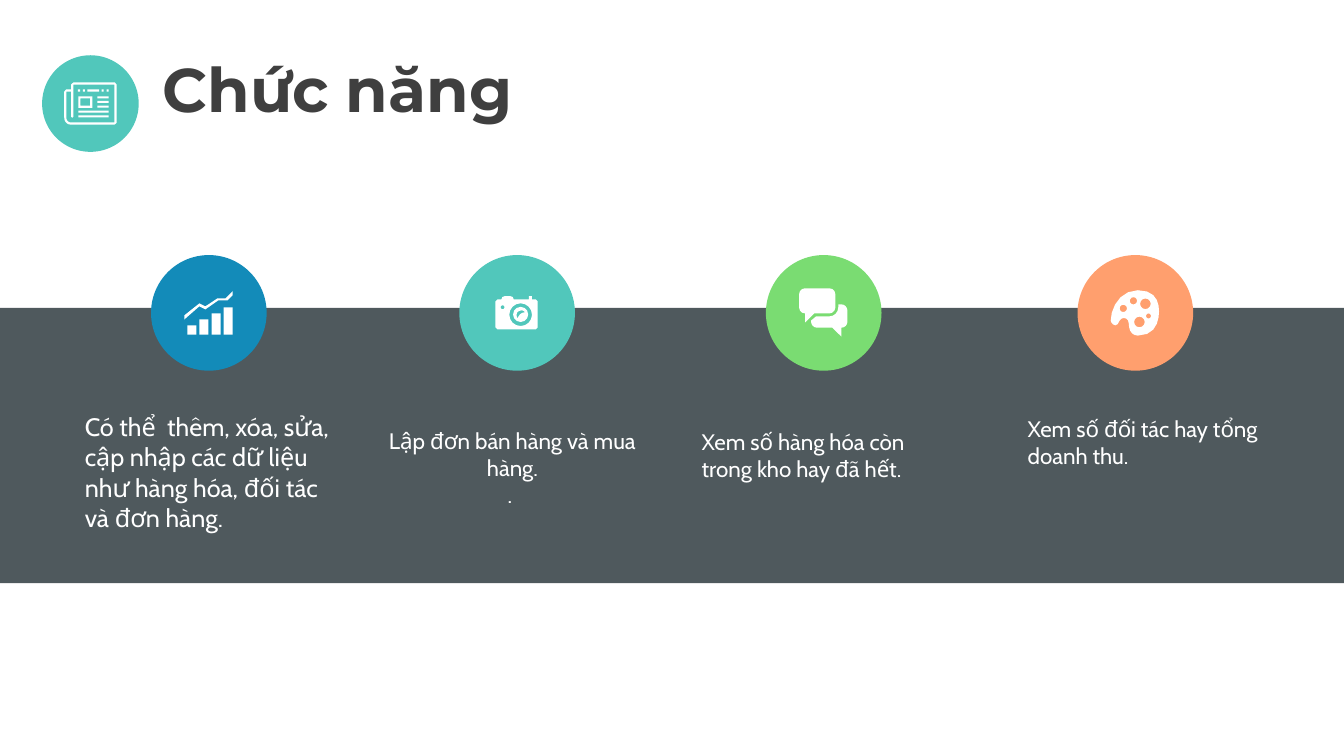
from functools import partial
from math import cos, pi, sin

from lxml.etree import SubElement
from pptx import Presentation
from pptx.dml.color import RGBColor
from pptx.enum.shapes import MSO_SHAPE as Kind
from pptx.enum.text import MSO_ANCHOR as Anchor, PP_ALIGN as Align
from pptx.oxml.ns import qn
from pptx.util import Pt

WHITE = "FFFFFF"
TEAL = "51C7BB"


def color(code):
    return RGBColor.from_string(code)


def paint(shape, fill):
    shape.shadow.inherit = False
    shape.fill.solid()
    shape.fill.fore_color.rgb = color(fill)
    shape.line.fill.background()
    return shape


def block(shapes, mid, kind, fill, x, y, w, h):
    """Preset shape, placed relative to the point mid."""
    return paint(shapes.add_shape(
        kind, Pt(mid[0] + x), Pt(mid[1] + y), Pt(w), Pt(h)), fill)


def outline(shapes, mid, *loops):
    """One white shape; loops inside others are openings."""
    paths = [[(Pt(mid[0] + x), Pt(mid[1] + y)) for x, y in loop] for loop in loops]
    pen = shapes.build_freeform(*paths[0][0], scale=1.0)
    for i, path in enumerate(paths):
        if i:
            pen.move_to(*path[0])
        pen.add_line_segments(path[1:], close=True)
    paint(pen.convert_to_shape(), WHITE)


# Loops of points
def bezier(a, *parts, steps=5):
    dots = [a]
    for b, c, d in parts:
        a = dots[-1]
        for i in range(1, steps + 1):
            t = i / steps
            s = 1 - t
            dots.append(tuple(
                s**3 * p + 3 * s * s * t * q + 3 * s * t * t * r + t**3 * u
                for p, q, r, u in zip(a, b, c, d)))
    return dots


def ring(x, y, size, count=12):
    turns = [2 * pi * i / count for i in range(count)]
    return [(x + size / 2 * cos(t), y + size / 2 * sin(t)) for t in turns]


def box(x, y, w, h, r=0.0, steps=3):
    if not r:
        return [(x, y), (x + w, y), (x + w, y + h), (x, y + h)]
    hubs = ((x + w - r, y + h - r), (x + r, y + h - r), (x + r, y + r), (x + w - r, y + r))
    return [(a + r * cos(t), b + r * sin(t))
            for k, (a, b) in enumerate(hubs)
            for t in (pi / 2 * (k + i / steps) for i in range(steps + 1))]


# Icons, drawn around the middle of their discs
def news(shapes, mid):
    page = [(-12.2, -15.1), (17.4, -15.1), (18.7, -13.7), (18.7, 13.7), (17.2, 15.1),
            *bezier((-13.7, 15.1), ((-16.6, 15.1), (-18.7, 13), (-18.7, 10.1))),
            (-18.7, -8.6), (-17.3, -10.1), (-13.7, -10.1), (-13.7, -13.7)]
    inner = [(-17.2, -8.6), (-13.7, -8.6), (-13.7, 9.5), (-12.9, 10.1), (-12.2, 9.5),
             (-12.2, -13.6), (17.2, -13.6), (17.2, 13.5),
             *bezier((-13.7, 13.5), ((-15.8, 13.5), (-17.2, 12), (-17.2, 10.1)))]
    bars = [(5, y, 8) for y in (-5.2, -2, 1.4)] + [(-8.6, y, 21.6) for y in (5, 8.4)]
    bars += [(-2.2, -10.1, 8.4)] + [(x, -10.1, 1.5) for x in (-8.9, -5.4, 8, 11.6)]
    outline(shapes, mid, page, inner, box(-8.6, -5.2, 10, 8.2),
            box(-7.1, -3.7, 7, 5.2), *(box(x, y, w, 1.5) for x, y, w in bars))


def growth(shapes, mid):
    for i in range(4):
        high = 6.5 + 4.32 * i
        block(shapes, mid, Kind.RECTANGLE, WHITE, -15.4 + 8.64 * i, 15.5 - high, 6.5, high)
    outline(shapes, mid, [
        (11.9, -10.4), (6.1, -10.4), (-2.5, -4.7), (-6.8, -6.8),
        (-17.6, 1.8), (-17.6, 4.7), (-6.8, -4.7), (-2.5, -2.5),
        (6.8, -9), (13.3, -9), (16.9, -12.6), (16.9, -15.5)])


def camera(shapes, mid):
    glint = bezier((0.4, 4), ((-1.2, 1.8), (-0.6, -1.8), (3.2, -1.8)),
                   ((4, -1.8), (5.4, -1.2), (5.4, -0.4)),
                   ((3, -0.4), (0.8, 1.8), (0.4, 4)))
    outline(shapes, mid, ring(2.5, 1.1, 10.8), glint)
    case = [(-15.5, -8.2), (-14, -9.7), (-11.2, -9.7), (-10.6, -11.3), (-9, -11.9),
            (-4.7, -11.9), (-3.1, -11.3), (-2.5, -9.7), (8.3, -9.7), (8.3, -11.9),
            (10.5, -11.9), (10.5, -9.7), (13.2, -9.7), (14.7, -8.2), (14.7, 10.3),
            (13.2, 11.8), (-14, 11.8), (-15.5, 10.3)]
    outline(shapes, mid, case, ring(2.5, 1.3, 16.2, 16), ring(-10.4, -4, 2.9, 8))


def chat(shapes, mid):
    curve = partial(bezier, steps=4)
    outline(shapes, mid, [
        (10.4, -6.1), *curve((12.6, -6.1), ((15, -6.1), (16.9, -4), (16.9, -1.8))),
        *curve((16.9, 6.5), ((16.9, 8.7), (15, 10.6), (12.6, 10.6))),
        (12.6, 16.9), (6.1, 10.6),
        *curve((-4.7, 10.6), ((-7, 10.6), (-9, 8.7), (-9, 6.5))),
        (-9, 5.4), (-5.4, 2.5),
        *curve((4, 2.5), ((7.6, 2.5), (10.4, -0.4), (10.4, -4)))])
    outline(shapes, mid, box(-17.6, -17.6, 25.9, 18, 4.3),
            [(-13.3, 0.4), (-13.3, 6.8), (-6.8, 0.4)])


def palette(shapes, mid):
    board = bezier((1.8, -16.2),
                   ((-11.2, -16.2), (-17.6, -3.2), (-17.6, 5.4)),
                   ((-17.6, 7.6), (-13.3, 11.9), (-11.2, 5.4)),
                   ((-9.7, 2.5), (-4.7, 3.2), (-4.7, 7.6)),
                   ((-4.7, 12.6), (-2.5, 16.2), (1.8, 16.2)),
                   ((14.8, 16.2), (16.9, 5.4), (16.9, -1.1)),
                   ((16.9, -7.6), (14.8, -16.2), (1.8, -16.2)))
    wells = ((-8.6, -3.2, 5.2), (-1.4, -8.6, 5.2), (2.9, 6.5, 7.6),
             (9.4, 2.2, 3.6), (7.2, -6.5, 7.6))
    outline(shapes, mid, board, *(ring(*well) for well in wells))


def badge(slide, mid, size, fill, icon):
    block(slide.shapes, mid, Kind.OVAL, fill, -size / 2, -size / 2, size, size)
    solo = icon in (news, palette)
    icon(slide.shapes if solo else slide.shapes.add_group_shape().shapes, mid)


def style(para, name, size, fill):
    para.font.name = name
    para.font.size = Pt(size)
    para.font.color.rgb = color(fill)


def note(slide, x, y, high, size, lines, align, gap):
    frame = slide.shapes.add_textbox(Pt(x), Pt(y), Pt(191.5), Pt(high)).text_frame
    frame.word_wrap = True
    frame.text = "\n".join(lines)
    for para in frame.paragraphs:
        para.alignment = align
        para.space_before = para.space_after = Pt(gap)
        style(para, "Cabin", size, WHITE)


def head(slide, text):
    title = slide.shapes.title
    title.left, title.top, title.width, title.height = map(Pt, (108.8, 28.8, 792, 74.2))
    frame = title.text_frame
    frame.text = text
    frame.vertical_anchor = Anchor.MIDDLE
    para = frame.paragraphs[0]
    para.alignment = Align.LEFT
    para.line_spacing = 0.9
    para.space_before = Pt(6)
    para.font.bold = True
    style(para, "Montserrat", 44, "3F3F3F")


def main():
    deck = Presentation()
    deck.slide_width, deck.slide_height = Pt(960), Pt(540)
    slide = deck.slides.add_slide(deck.slide_layouts[5])

    # Translucent band
    band = block(slide.shapes, (0, 0), Kind.RECTANGLE, "313C41", 0, 220, 960, 196.6)
    tone = band.fill._xPr.find(qn("a:solidFill"))[0]
    SubElement(tone, qn("a:alpha")).set("val", "85000")

    # Title and its badge
    head(slide, "Chức năng")
    badge(slide, (64.6, 74), 69, TEAL, news)

    # Function badges
    for x, fill, icon in ((149.2, "138BB9", growth), (369.4, TEAL, camera),
                          (588.4, "7ADC72", chat), (811, "FF9F6E", palette)):
        badge(slide, (x, 223.5), 82.6, fill, icon)

    # Descriptions
    left, mid = Align.LEFT, Align.CENTER
    for row in (
        (53.5, 290.3, 94.3, 18, ["Có thể  thêm, xóa, sửa, cập nhập các dữ liệu "
                                 "như hàng hóa, đối tác và đơn hàng."], left, 10),
        (270.3, 301.7, 65.5, 16, ["Lập đơn bán hàng và mua hàng.", ". "], mid, 0),
        (494.2, 302.4, 46, 16, ["Xem số hàng hóa còn trong kho hay đã hết."], left, 10),
        (727, 293, 46, 16, ["Xem số đối tác hay tổng doanh thu."], left, 10),
    ):
        note(slide, *row)

    deck.save("out.pptx")


if __name__ == "__main__":
    main()
